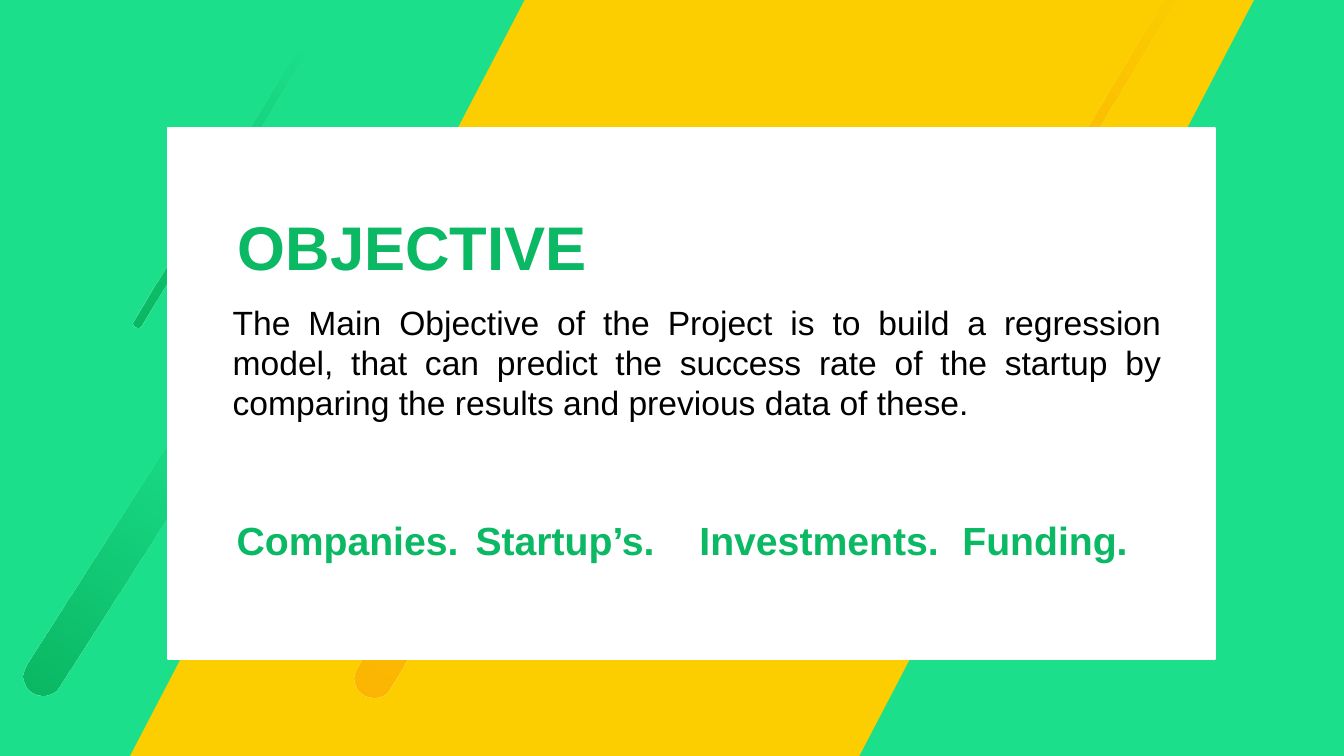
from pptx import Presentation
from pptx.dml.color import RGBColor as Rgb
from pptx.enum.shapes import MSO_SHAPE as Form
from pptx.enum.text import MSO_ANCHOR as Anchor, MSO_AUTO_SIZE as Auto, PP_ALIGN as Align
from pptx.oxml.ns import qn
from pptx.util import Pt
from lxml import etree

theme = {
    "mint": Rgb.from_string("1CDF8B"),
    "green": Rgb.from_string("0BB863"),
    "gold": Rgb.from_string("FCCE00"),
    "amber": Rgb.from_string("FCB504"),
    "white": Rgb.from_string("FFFFFF"),
    "black": Rgb.from_string("000000"),
    "font": "Arial",
    "title": Pt(44),
    "word": Pt(28),
    "body": Pt(24),
}

deck = Presentation()
deck.slide_width, deck.slide_height = Pt(960), Pt(540)
slide = deck.slides.add_slide(deck.slide_layouts[5])
shapes = slide.shapes


def add_form(form, box, tint=None):
    shape = shapes.add_shape(form, *map(Pt, box))
    shape.shadow.inherit = False
    shape.line.fill.background()
    if tint:
        shape.fill.solid()
        shape.fill.fore_color.rgb = theme[tint]
    return shape


def write(shape, text, size, tint, wrap=False, bold=True, align=Align.LEFT):
    frame = shape.text_frame
    frame.text = text
    layout = {"word_wrap": wrap, "auto_size": Auto.SHAPE_TO_FIT_TEXT,
              "vertical_anchor": Anchor.TOP}
    for key, value in layout.items():
        setattr(frame, key, value)
    para = frame.paragraphs[0]
    para.alignment = align
    font = para.runs[0].font
    for key, value in {"name": theme["font"], "size": theme[size], "bold": bold}.items():
        setattr(font, key, value)
    font.color.rgb = theme[tint]


# Background and slanted band
add_form(Form.RECTANGLE, (0, 0, 960, 540), "mint")
band = add_form(Form.PARALLELOGRAM, (92.9, 0, 802.8, 540), "gold")
band.adjustments[0] = 0.522

# Fading streaks: left, top, width, turn, colour
streaks = [
    (304.6, 283, 28, 210.8, "amber"),
    (782.6, -32.4, 7.2, 210.9, "amber"),
    (71.3, 283, 28, 212.5, "green"),
    (152.6, 20.2, 6.5, 210.9, "green"),
]
for left, top, width, turn, tint in streaks:
    streak = add_form(Form.ROUNDED_RECTANGLE, (left, top, width, 229.7))
    streak.adjustments[0] = 0.5
    streak.rotation = turn
    streak.fill.gradient()
    streak.fill.gradient_angle = 270
    for stop in streak.fill.gradient_stops:
        stop.color.rgb = theme[tint]
    ends = streak._element.spPr.findall(".//" + qn("a:srgbClr"))
    etree.SubElement(ends[-1], qn("a:alpha"), val="0")

# White card
card = add_form(Form.RECTANGLE, (120.2, 91.4, 747.4, 379.6), "white")
card.line.color.rgb = theme["white"]
card.line.width = Pt(1.5)

# Title, brought in front of the card
title = shapes.title
for side, value in zip(("left", "top", "width", "height"), (162.7, 145.4, 300, 60.5)):
    setattr(title, side, Pt(value))
write(title, "OBJECTIVE", "title", "green", wrap=True)
shapes._spTree.append(title._element)

# Body text
body = shapes.add_textbox(Pt(159.1), Pt(211.9), Pt(677.5), Pt(94.3))
write(body, "The Main Objective of the Project is to build a regression model, "
      "that can predict the success rate of the startup by comparing the results "
      "and previous data of these.", "body", "black",
      wrap=True, bold=False, align=Align.JUSTIFY)

# Row of key words
words = [
    ("Companies.", 162, 172.8),
    ("Startup’s.", 332.6, 142.6),
    ("Investments.", 492.5, 185.8),
    ("Funding.", 680.4, 132.5),
]
for text, left, width in words:
    box = shapes.add_textbox(Pt(left), Pt(365.4), Pt(width), Pt(41))
    write(box, text, "word", "green")

deck.save("out.pptx")
